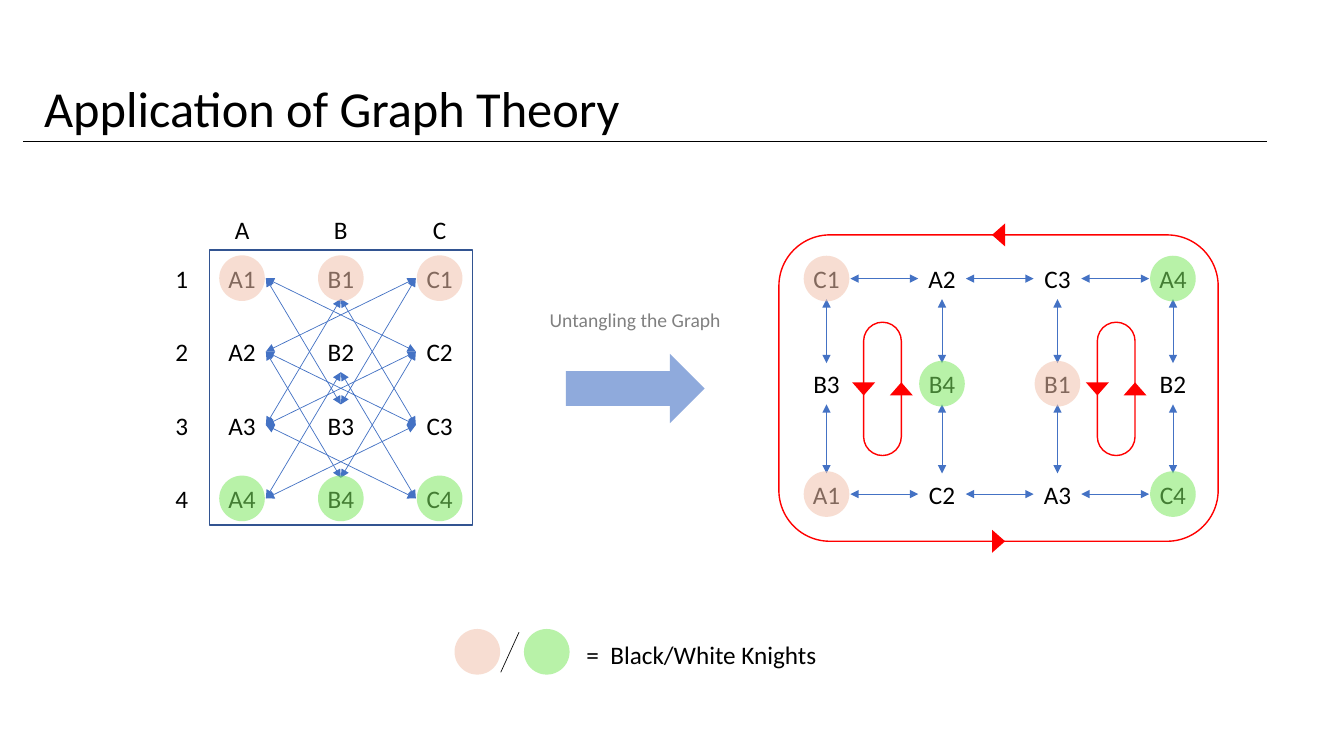
from itertools import combinations, product

from lxml.etree import SubElement
from pptx import Presentation
from pptx.dml.color import RGBColor
from pptx.enum.shapes import MSO_CONNECTOR as Link, MSO_SHAPE as Preset
from pptx.enum.text import MSO_ANCHOR as Anchor, PP_ALIGN as Align
from pptx.oxml.ns import qn
from pptx.util import Cm, Pt

COLOURS = {
    "text": "000000", "caption": "808080", "edge": "4472C4", "frame": "325491",
    "arrow": "8FAADC", "black": "F2C2AC", "white": "7CE75F", "route": "FF0000",
    "slash": "0D0D0D",
}
KNIGHTS = {"1": "black", "4": "white"}
FRAME_FORMAT = {"margin_left": 0, "margin_right": 0, "margin_top": 0,
                "margin_bottom": 0, "vertical_anchor": Anchor.MIDDLE,
                "word_wrap": True}
KNIGHT_SIZE = 1.15
HALF_W, HALF_H = 0.6, 0.52


def rgb(name):
    """Return the named colour."""
    return RGBColor.from_string(COLOURS[name])


def write(frame, text, size=18, colour="text", align=Align.CENTER, **extra):
    """Fill a text frame with one formatted paragraph."""
    frame.text = text
    paragraph = frame.paragraphs[0]
    paragraph.alignment = align
    for target, values in (
        (frame, FRAME_FORMAT | extra),
        (paragraph.font, {"name": "Calibri", "size": Pt(size)}),
    ):
        for key, value in values.items():
            setattr(target, key, value)
    paragraph.font.color.rgb = rgb(colour)


def label(slide, text, x, y, width=1.2, height=1.02, **style):
    """Place text centred on a point."""
    box = slide.shapes.add_textbox(
        Cm(x - width / 2), Cm(y - height / 2), Cm(width), Cm(height))
    write(box.text_frame, text, **style)


def figure(slide, preset, x, y, width, height, fill=None, line=None, turn=0):
    """Place a preset shape centred on a point."""
    shape = slide.shapes.add_shape(
        preset, Cm(x - width / 2), Cm(y - height / 2), Cm(width), Cm(height))
    shape.shadow.inherit = False
    shape.rotation = turn
    if fill:
        shape.fill.solid()
        shape.fill.fore_color.rgb = rgb(fill)
    else:
        shape.fill.background()
    if line:
        shape.line.color.rgb = rgb(line)
        shape.line.width = Pt(1)
    else:
        shape.line.fill.background()
    return shape


def stroke(slide, start, end, colour="edge", arrows=True):
    """Draw a thin line, with arrowheads at both ends if wanted."""
    line = slide.shapes.add_connector(
        Link.STRAIGHT, *(Cm(value) for value in (*start, *end)))
    line.line.color.rgb = rgb(colour)
    line.line.width = Pt(0.5)
    properties = line.element.spPr
    if arrows:
        for tip in ("a:headEnd", "a:tailEnd"):
            SubElement(properties.find(qn("a:ln")), qn(tip), type="triangle")
    SubElement(properties, qn("a:effectLst"))


def knight(slide, x, y, side):
    """Draw a translucent knight marker."""
    marker = figure(slide, Preset.OVAL, x, y, KNIGHT_SIZE, KNIGHT_SIZE, side)
    colour = marker.element.spPr.find(".//" + qn("a:srgbClr"))
    SubElement(colour, qn("a:alpha"), val="54000")


def squares(slide, places):
    """Write the squares and mark those that hold a knight."""
    for square, (x, y) in places.items():
        label(slide, square, x, y)
    for square, (x, y) in places.items():
        if square[1] in KNIGHTS:
            knight(slide, x, y, KNIGHTS[square[1]])


def heading(slide, left, top, width, height):
    """Format the title and underline it."""
    title = slide.shapes.title
    for key, value in {"left": left + 0.28, "top": top, "width": 16,
                       "height": height}.items():
        setattr(title, key, Cm(value))
    write(title.text_frame, "Application of Graph Theory", 36,
          align=Align.LEFT, margin_left=Cm(0.25))
    rule = top + height - 0.04
    stroke(slide, (left, rule), (left + width, rule), "text", arrows=False)


def board(slide, left, top, width, height):
    """Draw the board with every knight move between its squares."""
    columns = {name: left + 0.82 + 2.49 * i for i, name in enumerate("ABC")}
    rows = {name: top + 0.71 + 1.85 * i for i, name in enumerate("1234")}
    places = {c + r: (columns[c], rows[r]) for c, r in product(columns, rows)}

    def port(square, other):
        """Return the point where a move leaves a square."""
        x, y = places[square]
        if square[0] == "B":
            return x, y + (HALF_H if other[1] > square[1] else -HALF_H)
        return x + (HALF_W if square[0] == "A" else -HALF_W), y

    for one, two in combinations(places, 2):
        across = abs(ord(one[0]) - ord(two[0]))
        down = abs(int(one[1]) - int(two[1]))
        if across * down == 2:
            stroke(slide, port(one, two), port(two, one))
    figure(slide, Preset.RECTANGLE, left + width / 2, top + height / 2,
           width, height, line="frame")
    for name, x in columns.items():
        label(slide, name, x, top - 0.51)
    for name, y in rows.items():
        label(slide, name, left - 0.7, y)
    squares(slide, places)


def transition(slide, left, top, width, height):
    """Draw the captioned arrow between the two graphs."""
    middle = left + width / 2
    label(slide, "Untangling the Graph", middle, top + 0.43, width, 0.86,
          size=14, colour="caption")
    figure(slide, Preset.RIGHT_ARROW, middle, top + height - 0.88, 3.5, 1.75,
           "arrow")


def untangled(slide, left, top, width, height):
    """Draw the untangled graph with its red routes."""
    grid = ("C1 A2 C3 A4", "B3 B4 B1 B2", "A1 C2 A3 C4")
    xs = [left + 1.2 + 2.91 * i for i in range(4)]
    ys = [top + offset for offset in (1.1, 3.75, 6.53)]
    for y, (x, following) in product((ys[0], ys[2]), zip(xs, xs[1:])):
        stroke(slide, (x + HALF_W, y), (following - HALF_W, y))
    for x, (y, following) in product(xs, zip(ys, ys[1:])):
        stroke(slide, (x, y + HALF_H), (x, following - HALF_H))
    squares(slide, {square: (x, y) for row, y in zip(grid, ys)
                    for square, x in zip(row.split(), xs)})

    middle, centre = left + width / 2, top + height / 2
    loop_w, loop_y = 0.95, top + 3.88
    figure(slide, Preset.ROUNDED_RECTANGLE, middle, centre, width, height,
           line="route")
    heads = [(middle, top, 270), (middle, top + height, 90)]
    for x in (left + 2.61, left + 8.5):
        loop = figure(slide, Preset.ROUNDED_RECTANGLE, x, loop_y, loop_w, 3.36,
                      line="route")
        loop.adjustments[0] = 0.5
        heads += [(x - loop_w / 2, loop_y, 180), (x + loop_w / 2, loop_y, 0)]
    for x, y, turn in heads:
        figure(slide, Preset.ISOSCELES_TRIANGLE, x, y, 0.58, 0.33, "route",
               turn=turn)


def legend(slide, left, top, width, height):
    """Explain the two knight colours."""
    middle = top + height / 2
    for x, side in ((0.57, "black"), (2.32, "white")):
        knight(slide, left + x, middle, side)
    stroke(slide, (left + 1.16, top + 1.09), (left + 1.62, top + 0.08),
           "slash", arrows=False)
    text_w = width - 3.32
    label(slide, "=  Black/White Knights", left + width - text_w / 2,
          middle + 0.07, text_w, align=Align.LEFT)


def main():
    """Build and save the slide."""
    deck = Presentation()
    deck.slide_width, deck.slide_height = Cm(33.87), Cm(19.05)
    slide = deck.slides.add_slide(deck.slide_layouts.get_by_name("Title Only"))
    heading(slide, 0.58, 1.8, 31.35, 1.8)
    board(slide, 5.28, 6.3, 6.63, 6.93)
    transition(slide, 13.56, 7.62, 4.9, 3.05)
    untangled(slide, 19.63, 5.92, 11.07, 7.72)
    legend(slide, 11.46, 15.85, 9.5, KNIGHT_SIZE)
    deck.save("out.pptx")


main()
